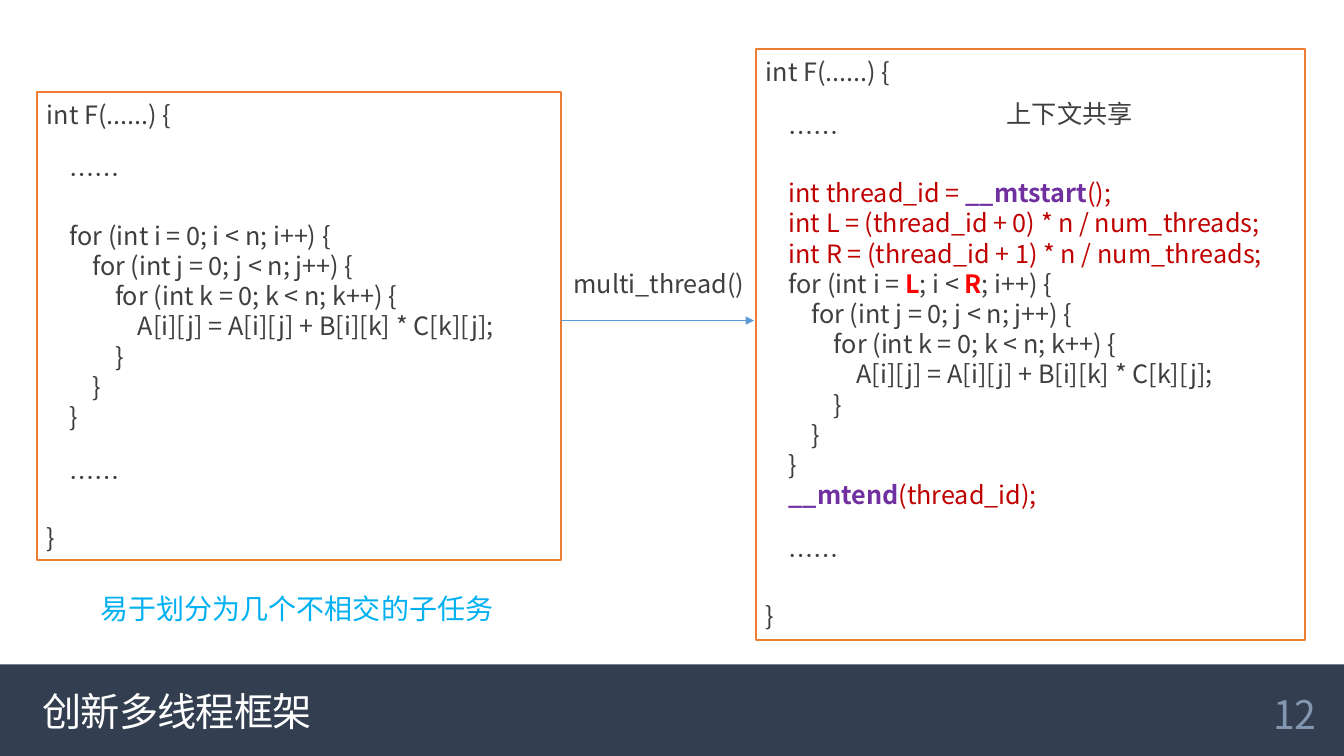
"""Build the slide that shows how a loop nest is split into threads."""
import pptx
import pptx.util
import pptx.dml.color
import pptx.enum.shapes
import pptx.enum.text
import pptx.oxml
import pptx.oxml.ns
from lxml import etree

Pt = pptx.util.Pt
FONT = "Noto Sans CJK SC"
LINE_RATIO = 1.2
INDENT = 16.2
COLORS = {
    "band": "333F50", "white": "FFFFFF", "number": "8497B0", "border": "ED7D31",
    "code": "3F3F3F", "added": "C00000", "call": "7030A0", "bound": "FF0000",
    "note": "00B0F0", "arrow": "5B9BD5",
}
FRAME_FORMAT = {
    "margin_left": Pt(7.2), "margin_right": Pt(7.2),
    "margin_top": Pt(5), "margin_bottom": Pt(3.6),
    "vertical_anchor": pptx.enum.text.MSO_ANCHOR.TOP, "word_wrap": True,
}
MIDDLE = pptx.enum.text.MSO_ANCHOR.MIDDLE
ALIGN = pptx.enum.text.PP_ALIGN


def rgb(name):
    return pptx.dml.color.RGBColor.from_string(COLORS[name])


def apply(target, formats):
    for attribute, value in formats.items():
        setattr(target, attribute, value)


def add_run(paragraph, text, size, color, bold=False):
    run = paragraph.add_run()
    run.text = text
    apply(run.font, {"name": FONT, "size": Pt(size), "bold": bold})
    run.font.color.rgb = rgb(color)
    east_asian = etree.SubElement(run.font.latin.getparent() if hasattr(run.font, "latin")
                                  else run.element.get_or_add_rPr()
                                  if hasattr(run, "element") else run._r.get_or_add_rPr(),
                                  pptx.oxml.ns.qn("a:ea"))
    east_asian.set("typeface", FONT)
    return run


def write_line(paragraph, runs, size=18, level=0, gap=0, align=ALIGN.LEFT):
    pitch = size * LINE_RATIO
    apply(paragraph, {"line_spacing": Pt(pitch), "space_before": Pt(gap * pitch),
                      "space_after": Pt(0), "alignment": align})
    properties = paragraph._p.get_or_add_pPr()
    properties.set("marL", str(Pt(level * INDENT)))
    properties.set("indent", "0")
    return [add_run(paragraph, text, size, *style) for text, *style in runs]


def add_box(slide, bounds, fill, border=None):
    box = slide.shapes.add_shape(pptx.enum.shapes.MSO_SHAPE.RECTANGLE, *map(Pt, bounds))
    box.shadow.inherit = False
    box.fill.solid()
    box.fill.fore_color.rgb = rgb(fill)
    if border:
        box.line.color.rgb = rgb(border)
        box.line.width = Pt(1.5)
    else:
        box.line.fill.background()
    return box


def add_code(slide, bounds, lines):
    frame = add_box(slide, bounds, "white", "border").text_frame
    apply(frame, FRAME_FORMAT)
    for number, (level, gap, runs) in enumerate(lines):
        paragraph = frame.add_paragraph() if number else frame.paragraphs[0]
        write_line(paragraph, runs, level=level, gap=gap)


def add_label(slide, bounds, text, color, size=18, align=ALIGN.LEFT, **formats):
    frame = slide.shapes.add_textbox(*map(Pt, bounds)).text_frame
    apply(frame, {**FRAME_FORMAT, **formats})
    write_line(frame.paragraphs[0], [(text, color)], size, align=align)


def add_arrow(slide, start, end):
    arrow = slide.shapes.add_connector(
        pptx.enum.shapes.MSO_CONNECTOR.STRAIGHT, *map(Pt, start + end))
    arrow.line.color.rgb = rgb("arrow")
    arrow.line.width = Pt(1)
    head = etree.SubElement(arrow.line._get_or_add_ln(), pptx.oxml.ns.qn("a:tailEnd"))
    head.set("type", "triangle")
    etree.SubElement(arrow.element.spPr, pptx.oxml.ns.qn("a:effectLst"))


def add_title(slide, text):
    band = add_box(slide, (0, 474.5, 960, 65.5), "band")
    slide.shapes.element.insert(2, band.element)
    title = slide.shapes.title
    apply(title, {"left": Pt(23), "top": Pt(474.5), "width": Pt(786), "height": Pt(65.5)})
    apply(title.text_frame, {**FRAME_FORMAT, "vertical_anchor": MIDDLE})
    heading, = write_line(title.text_frame.paragraphs[0], [(text, "white")], 28)
    heading.font._element.set("spc", "-50")


def code(level, text, color="code", gap=0):
    return level, gap, [(text, color)]


def function_lines(loop_lines, loop_gap, end_gap):
    inner_loops = [
        code(2, "for (int j = 0; j < n; j++) {"),
        code(3, "for (int k = 0; k < n; k++) {"),
        code(4, "A[i][j] = A[i][j] + B[i][k] * C[k][j];"),
    ] + [code(level, "}") for level in (3, 2, 1)]
    opening = [code(0, "int F(......) {"), code(1, "……", gap=1)]
    closing = [code(1, "……", gap=1), code(0, "}", gap=1)]
    return opening + loop_lines + inner_loops + end_gap + closing


def main():
    presentation = pptx.Presentation()
    apply(presentation, {"slide_width": Pt(960), "slide_height": Pt(540)})
    slide = presentation.slides.add_slide(presentation.slide_layouts[5])
    add_title(slide, "创新多线程框架")
    add_label(slide, (889, 486, 72, 46.8), "12", "number", 28, ALIGN.CENTER,
              vertical_anchor=MIDDLE)

    serial_start = [code(1, "for (int i = 0; i < n; i++) {", gap=1)]
    threaded_start = [
        (1, 1, [("int thread_id = ", "added"), ("__mtstart", "call", True), ("();", "added")]),
        code(1, "int L = (thread_id + 0) * n / num_threads;", "added"),
        code(1, "int R = (thread_id + 1) * n / num_threads;", "added"),
        (1, 0, [("for (int i = ", "code"), ("L", "bound", True), ("; i < ", "code"),
                ("R", "bound", True), ("; i++) {", "code")]),
    ]
    threaded_end = [(1, 0, [("__mtend", "call", True), ("(thread_id);", "added")])]
    add_code(slide, (26.5, 65.7, 374.4, 334), function_lines(serial_start, 1, []))
    add_code(slide, (540, 35.3, 392, 422), function_lines(threaded_start, 1, threaded_end))

    add_label(slide, (64.8, 417.6, 297.4, 31.5), "易于划分为几个不相交的子任务", "note", 20,
              word_wrap=False)
    add_arrow(slide, (401, 229), (538.6, 229))
    add_label(slide, (402.5, 186.5, 156, 29), "multi_thread()", "code")
    add_label(slide, (712, 65.5, 105, 29), "上下文共享", "code", word_wrap=False)
    presentation.save("out.pptx")


if __name__ == "__main__":
    main()
